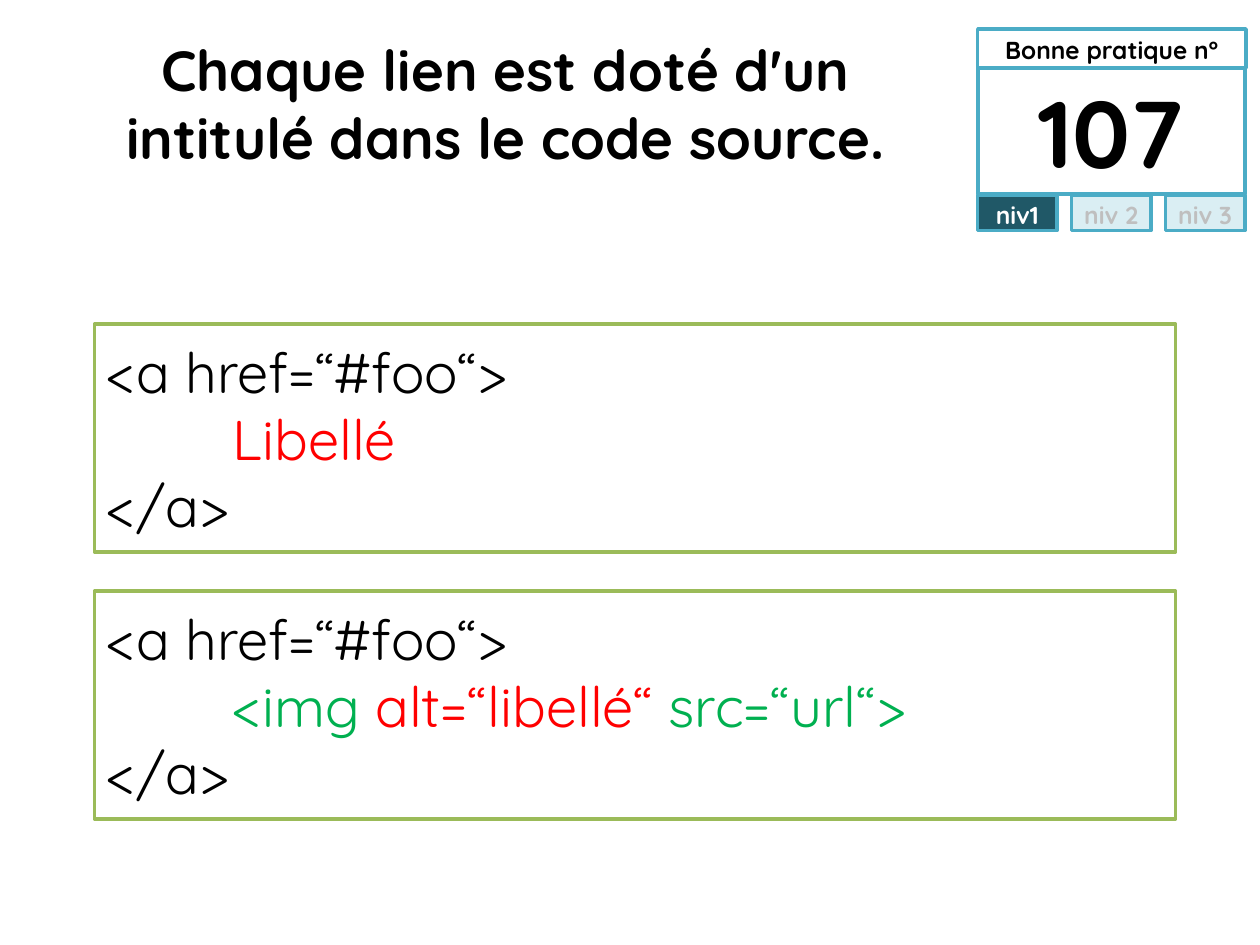
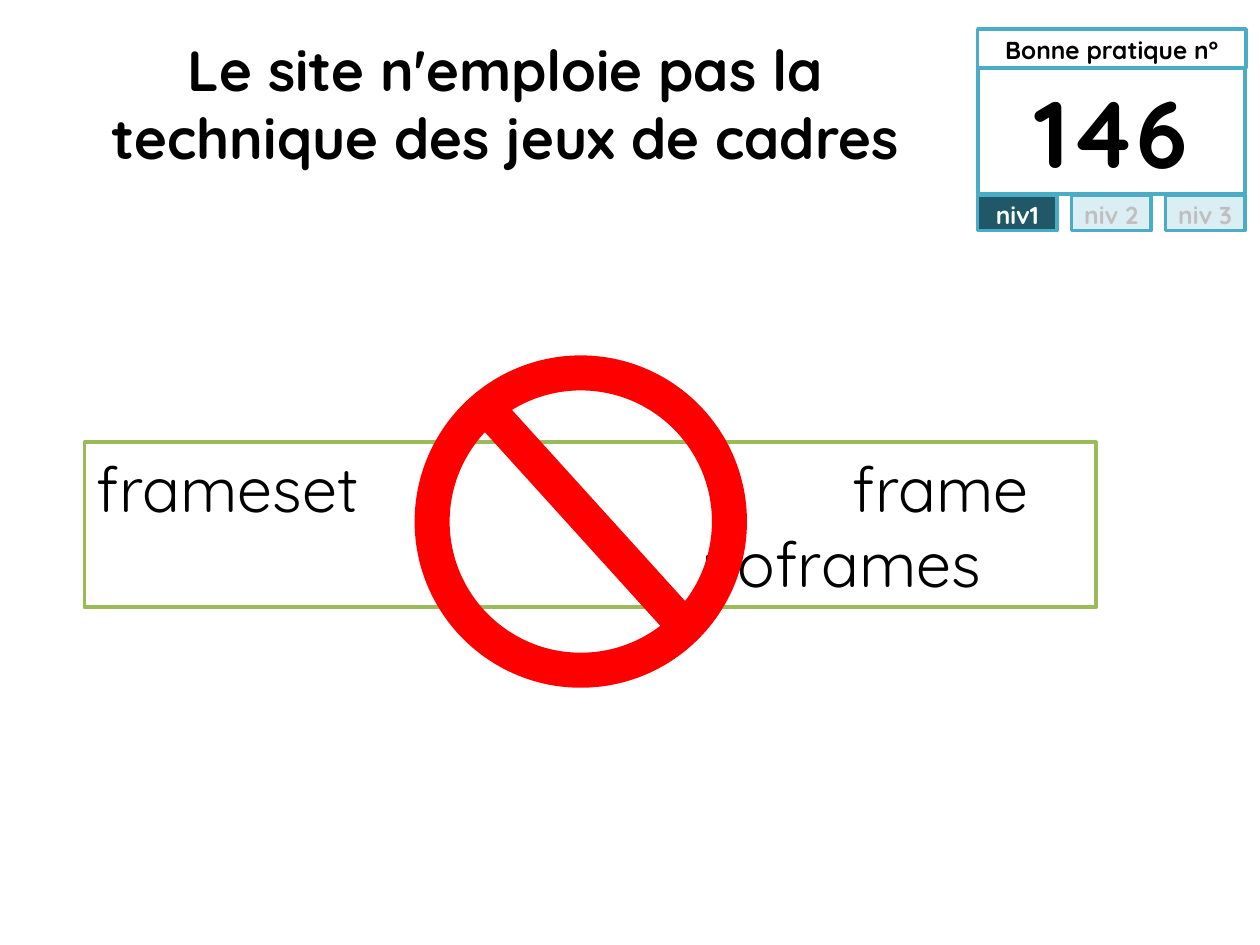
from lxml import etree
from pptx import Presentation
from pptx.dml.color import RGBColor
from pptx.enum.shapes import MSO_CONNECTOR as Connector, MSO_SHAPE as Shape
from pptx.enum.text import MSO_ANCHOR as Anchor, PP_ALIGN as Align
from pptx.oxml.ns import qn
from pptx.util import Emu, Inches, Pt

COLUMNS, ROWS = 100, 75
BLACK, WHITE, GREY = "000000", "FFFFFF", "BFBFBF"
RED, GREEN = "FF0000", "00B050"
CYAN, DARK_CYAN, PALE_CYAN = "4BACC6", "205867", "DAEEF3"
FRAME_GREEN = "9BBB59"
FONT = "Quicksand"
LEVELS = ("niv1", "niv 2", "niv 3")
LINK_OPEN, LINK_CLOSE = [("<a href=“#foo“>", BLACK)], [("</a>", BLACK)]


def rgb(hex_colour):
    return RGBColor.from_string(hex_colour)


class PracticeDeck:
    """Holds the shared style and the slide being filled."""

    def __init__(self):
        self.presentation = Presentation()
        self.presentation.slide_width = Inches(10)
        self.presentation.slide_height = Inches(7.5)
        self.column = self.presentation.slide_width / COLUMNS
        self.row = self.presentation.slide_height / ROWS
        self.slide = None

    def place(self, column, row):
        return Emu(round(column * self.column)), Emu(round(row * self.row))

    def shape(self, kind, area, fill=None, line=None, line_width=2):
        left, top, width, height = area
        shape = self.slide.shapes.add_shape(
            kind, *self.place(left, top), *self.place(width, height))
        shape.shadow.inherit = False
        if fill:
            shape.fill.solid()
            shape.fill.fore_color.rgb = rgb(fill)
        else:
            shape.fill.background()
        if line:
            shape.line.color.rgb = rgb(line)
            shape.line.width = Pt(line_width)
        else:
            shape.line.fill.background()
        return shape

    def box(self, area, paragraphs, size, line=None, fill=WHITE, bold=True,
            align=Align.CENTER, anchor=Anchor.TOP, insets=(1, 0.5), tabs=()):
        """Draw a text rectangle; each paragraph is a list of (text, colour)."""
        frame = self.shape(Shape.RECTANGLE, area, fill, line).text_frame
        frame.word_wrap = True
        frame.vertical_anchor = anchor
        side, edge = self.place(*insets)
        frame.margin_left = frame.margin_right = side
        frame.margin_top = frame.margin_bottom = edge
        for index, runs in enumerate(paragraphs):
            paragraph = frame.add_paragraph() if index else frame.paragraphs[0]
            paragraph.alignment = align
            self.tab_stops(paragraph, tabs)
            for text, colour in runs:
                run = paragraph.add_run()
                run.text = text
                run.font.name = FONT
                run.font.size = Pt(size)
                run.font.bold = bold
                run.font.color.rgb = rgb(colour)

    def tab_stops(self, paragraph, columns):
        if columns:
            stops = etree.SubElement(paragraph._p.get_or_add_pPr(), qn("a:tabLst"))
            for column in columns:
                position = str(round(column * self.column))
                etree.SubElement(stops, qn("a:tab"), pos=position, algn="l")

    def code_box(self, area, paragraphs, size, tabs):
        self.box(area, paragraphs, size, line=FRAME_GREEN, bold=False,
                 align=Align.LEFT, anchor=Anchor.MIDDLE, tabs=tabs)

    def practice_slide(self, title, number, active_level=0):
        """Start a slide with its title, number card and level tabs."""
        self.slide = self.presentation.slides.add_slide(
            self.presentation.slide_layouts[6])
        self.box((77.6, 2.3, 21.3, 3.1), [[("Bonne pratique n°", BLACK)]], 14, CYAN)
        for index, level in enumerate(LEVELS):
            active = index == active_level
            self.box((77.6 + 7.45 * index, 15.5, 6.3, 2.8),
                     [[(level, WHITE if active else GREY)]], 14, CYAN,
                     DARK_CYAN if active else PALE_CYAN, insets=(0.4, 0.4))
        self.box((5, 2.3, 70.2, 12.5), [[(title, BLACK)]], 32.4)
        self.box((77.6, 5.4, 21.2, 10), [[(number, BLACK)]], 54, CYAN)

    def line(self, start, end, colour, width):
        connector = self.slide.shapes.add_connector(
            Connector.STRAIGHT, *self.place(*start), *self.place(*end))
        connector.line.color.rgb = rgb(colour)
        connector.line.width = Pt(width)
        etree.SubElement(connector._element.spPr, qn("a:effectLst"))

    def forbidden_sign(self, area, bar_start, bar_end):
        self.shape(Shape.OVAL, area, line=RED, line_width=20)
        self.line(bar_start, bar_end, RED, 20)


def link_label_slide(deck):
    deck.practice_slide("Chaque lien est doté d'un intitulé dans le code source.", "107")
    contents = (
        [("\t", BLACK), ("Libellé", RED)],
        [("\t<img ", GREEN), ("alt=“libellé“ ", RED), ("src=“url“>", GREEN)],
    )
    for index, content in enumerate(contents):
        deck.code_box((7.5, 25.7 + 21.2 * index, 85.8, 18.1),
                      [LINK_OPEN, content, LINK_CLOSE], 32, tabs=(10,))


def frameset_slide(deck):
    deck.practice_slide("Le site n'emploie pas la technique des jeux de cadres", "146")
    deck.code_box((6.7, 35.1, 80.3, 13.1),
                  [[("frameset\t\tframe", BLACK)], [("\tnoframes", BLACK)]],
                  36, tabs=(48, 60))
    deck.forbidden_sign((34.3, 29.6, 23.6, 23.6), (39, 32.8), (54.4, 49.8))


def main():
    deck = PracticeDeck()
    link_label_slide(deck)
    frameset_slide(deck)
    deck.presentation.save("out.pptx")


if __name__ == "__main__":
    main()
